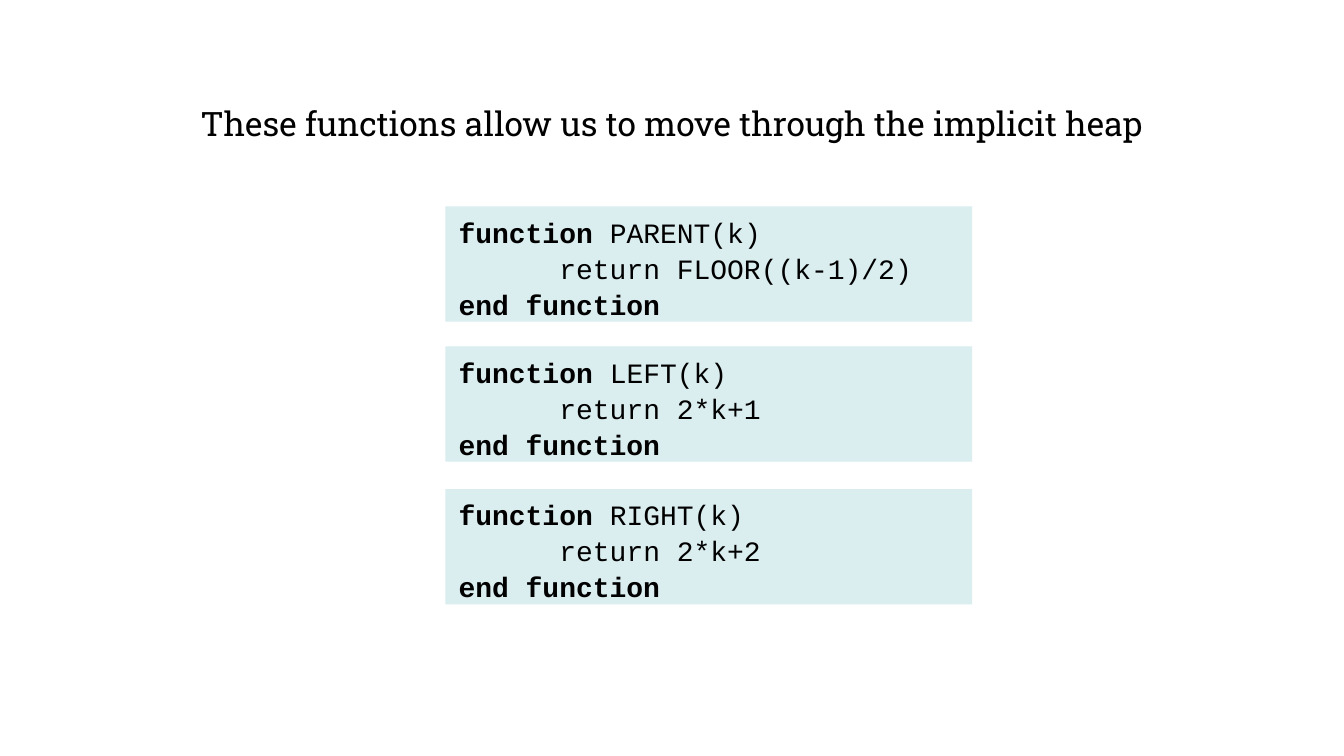
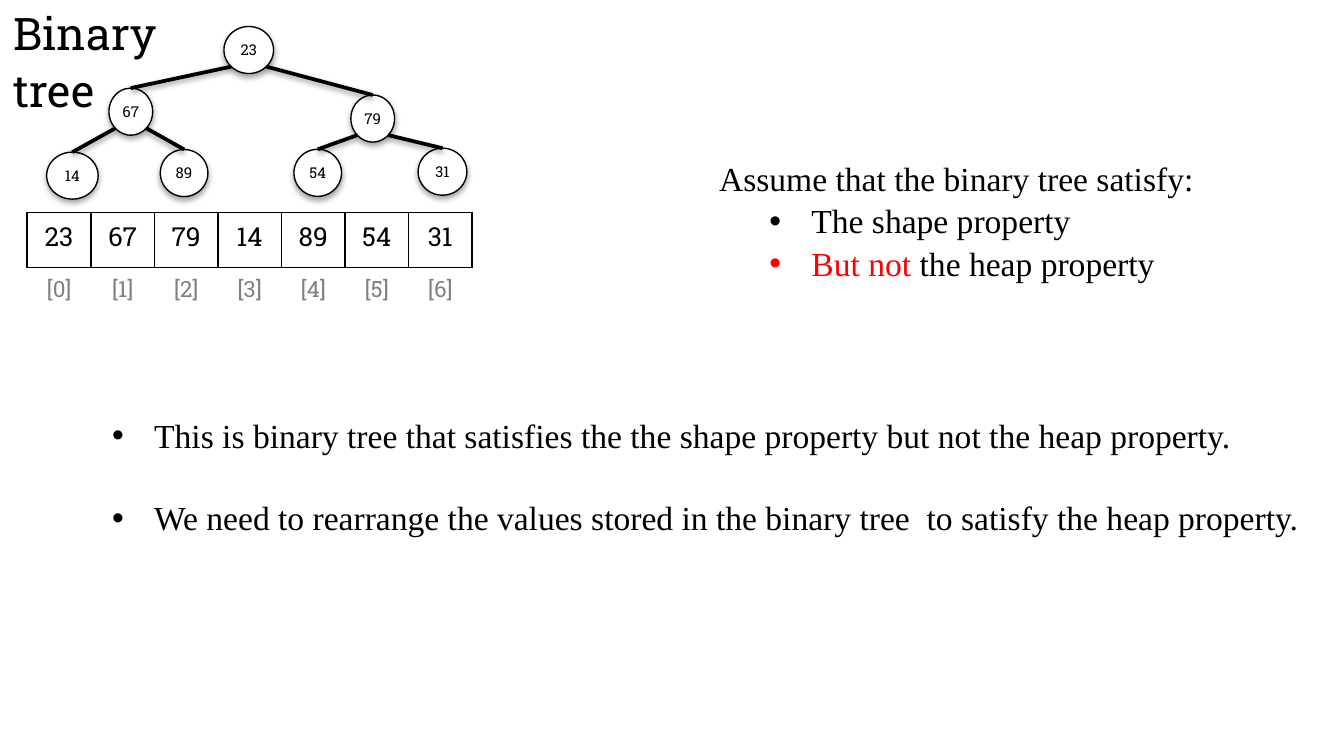
from dataclasses import dataclass

from lxml.etree import SubElement
from pptx import Presentation
from pptx.dml.color import RGBColor as RGB
from pptx.enum.shapes import MSO_CONNECTOR as CONN, MSO_SHAPE as SHAPE
from pptx.enum.text import MSO_ANCHOR as ANCHOR, MSO_AUTO_SIZE as AUTO, PP_ALIGN as ALIGN
from pptx.oxml.ns import qn
from pptx.util import Pt


@dataclass(frozen=True)
class Theme:
    """Colours, fonts and type sizes shared by the slides."""
    ink: str = "000000"
    paper: str = "FFFFFF"
    panel: str = "DAEDEF"
    muted: str = "808080"
    accent: str = "FF0000"
    slab: str = "Roboto Slab"
    serif: str = "Times New Roman"
    mono: str = "Courier New"
    heading: float = 24
    text: float = 18
    code: float = 15
    cell: float = 14
    index: float = 12
    node: float = 8
    code_spacing: float = 1.07
    text_spacing: float = 1.05


T = Theme()
SLIDE_W, SLIDE_H = 720, 405

# Content, with boxes as left, top, width, height in points
HEADING = ["These functions allow us to move through the implicit heap"]
FUNCTIONS = [  # top, name, returned expression
    (110.6, "PARENT", "FLOOR((k-1)/2)"),
    (185.6, "LEFT", "2*k+1"),
    (262, "RIGHT", "2*k+2"),
]
TREE_TITLE = ["Binary ", "tree"]
VALUES = [23, 67, 79, 14, 89, 54, 31]
NODES = [  # left, top, width in level order
    (120, 14.2, 26.6), (58.4, 47.2, 23.4), (188, 50.9, 23.4),
    (25, 81.5, 27.6), (85.9, 80.1, 25.5), (157.5, 80, 25.5), (224, 79.4, 26.1),
]
NODE_H = 25.2
ASSUMPTIONS = [  # bulleted, space before, runs of text and colour
    (False, 0, [("Assume that the binary tree satisfy:", T.ink)]),
    (True, 0, [("The shape property ", T.ink)]),
    (True, 0, [("But not ", T.accent), ("the heap property", T.ink)]),
]
REMARKS = [
    (True, 0, [("This is binary tree that satisfies the the shape property "
                "but not the heap property.", T.ink)]),
    (True, 21.7, [("We need to rearrange the values stored in the binary tree  "
                   "to satisfy the heap property.", T.ink)]),
]


def place(sp, box):
    """Move a shape to a box given in points."""
    sp.left, sp.top, sp.width, sp.height = map(Pt, box)


def add_run(p, text, font, size, color=T.ink, bold=False):
    """Add one formatted run to a paragraph."""
    r = p.add_run()
    r.text = text
    r.font.name, r.font.size, r.font.bold = font, Pt(size), bold
    r.font.color.rgb = RGB.from_string(color)


def paragraphs(tf, items):
    """Yield a paragraph of the frame with each item."""
    for i, item in enumerate(items):
        yield (tf.add_paragraph() if i else tf.paragraphs[0]), item


def set_indent(p, left, first=0):
    """Set the left and first-line indents; return the properties."""
    pPr = p._p.get_or_add_pPr()
    pPr.set("marL", str(Pt(left)))
    pPr.set("indent", str(Pt(first)))
    return pPr


def set_shadow(sp, alpha, dist):
    """Give a shape or connector a soft shadow straight below."""
    effects = SubElement(sp._element.spPr, qn("a:effectLst"))
    shadow = SubElement(effects, qn("a:outerShdw"), blurRad=str(Pt(3.1)),
                        dist=str(Pt(dist)), dir="5400000", rotWithShape="0")
    color = SubElement(shadow, qn("a:srgbClr"), val=T.ink)
    SubElement(color, qn("a:alpha"), val=str(alpha * 1000))


def set_title(slide, lines, box, size, align, gap=0):
    """Fill and place the title placeholder."""
    sp = slide.shapes.title
    place(sp, box)
    tf = sp.text_frame
    tf.word_wrap, tf.auto_size, tf.vertical_anchor = True, AUTO.NONE, ANCHOR.TOP
    for p, line in paragraphs(tf, lines):
        p.alignment = align
        p.space_before = Pt(gap if line != lines[0] else 0)
        add_run(p, line, T.slab, size)


def fill_list(sp, items, box):
    """Fill a body placeholder with plain and bulleted lines."""
    place(sp, box)
    tf = sp.text_frame
    tf.word_wrap, tf.auto_size, tf.vertical_anchor = True, AUTO.NONE, ANCHOR.TOP
    for p, (bulleted, gap, runs) in paragraphs(tf, items):
        p.level = int(bulleted)
        p.space_before, p.line_spacing = Pt(gap), T.text_spacing
        if bulleted:
            pPr = set_indent(p, 49.5, -22.5)
            SubElement(pPr, qn("a:buFont"), typeface="Arial")
            SubElement(pPr, qn("a:buChar"), char="•")
        else:
            SubElement(set_indent(p, 0), qn("a:buNone"))
        for text, color in runs:
            add_run(p, text, T.serif, T.text, color)


def add_code(slide, top, name, result):
    """Draw a panel with one pseudocode function."""
    sp = slide.shapes.add_shape(SHAPE.RECTANGLE, Pt(238.6), Pt(top), Pt(282.2), Pt(61.8))
    sp.shadow.inherit = False
    sp.fill.solid()
    sp.fill.fore_color.rgb = RGB.from_string(T.panel)
    sp.line.fill.background()
    tf = sp.text_frame
    tf.word_wrap, tf.vertical_anchor = True, ANCHOR.TOP
    lines = [
        (0, [("function", True), (f" {name}(k)", False)]),
        (54, [(f"return {result}", False)]),
        (0, [("end function", True)]),
    ]
    for p, (indent, runs) in paragraphs(tf, lines):
        p.alignment, p.line_spacing = ALIGN.LEFT, T.code_spacing
        set_indent(p, indent)
        for text, bold in runs:
            add_run(p, text, T.mono, T.code, bold=bold)


def add_node(slide, box, value):
    """Draw one tree node."""
    sp = slide.shapes.add_shape(SHAPE.OVAL, *map(Pt, box))
    sp.fill.solid()
    sp.fill.fore_color.rgb = RGB.from_string(T.paper)
    sp.line.color.rgb, sp.line.width = RGB.from_string(T.ink), Pt(0.75)
    set_shadow(sp, 35, 1.8)
    tf = sp.text_frame
    tf.margin_left = tf.margin_right = Pt(2.9)
    tf.word_wrap, tf.vertical_anchor = True, ANCHOR.MIDDLE
    p = tf.paragraphs[0]
    p.alignment = ALIGN.CENTER
    add_run(p, str(value), T.slab, T.node)


def add_edge(slide, parent, child, side):
    """Join the parent's lower left (-1) or right (1) rim to the child's top."""
    x, y, w, h = parent
    reach = 0.5 ** 0.5 / 2
    start = x + w * (0.5 + side * reach), y + h * (0.5 + reach)
    end = child[0] + child[2] / 2, child[1]
    line = slide.shapes.add_connector(CONN.STRAIGHT, *map(Pt, start + end))
    line.line.color.rgb, line.line.width = RGB.from_string(T.ink), Pt(2)
    set_shadow(line, 38, 1.6)


def add_tree(slide):
    """Draw the tree; the children of node i are 2i+1 and 2i+2."""
    boxes = [(*node, NODE_H) for node in NODES]
    for i, box in enumerate(boxes):
        add_node(slide, box, VALUES[i])
        if i:
            add_edge(slide, boxes[(i - 1) // 2], box, -1 if i % 2 else 1)


def set_borders(cell, visible):
    """Draw the named cell sides and hide the others."""
    tcPr = cell._tc.get_or_add_tcPr()
    for i, side in enumerate("LRTB"):
        ln = tcPr.makeelement(qn(f"a:ln{side}"), {"w": str(Pt(1))})
        if side in visible:
            SubElement(SubElement(ln, qn("a:solidFill")), qn("a:srgbClr"), val=T.ink)
        else:
            SubElement(ln, qn("a:noFill"))
        tcPr.insert(i, ln)


def add_array(slide):
    """Add the array table with its index row."""
    n = len(VALUES)
    col_w, row_h = 34.05, 29.5
    table = slide.shapes.add_table(2, n, Pt(14.6), Pt(113.9),
                                   Pt(col_w * n), Pt(row_h * 2)).table
    table.first_row = table.horz_banding = False
    rows = [
        (VALUES, T.cell, T.ink, "LRTB"),
        ([f"[{i}]" for i in range(n)], T.index, T.muted, "T"),
    ]
    for r, (texts, size, color, sides) in enumerate(rows):
        table.rows[r].height = Pt(row_h)
        for c, text in enumerate(texts):
            table.columns[c].width = Pt(col_w)
            cell = table.cell(r, c)
            cell.fill.background()
            set_borders(cell, sides)
            p = cell.text_frame.paragraphs[0]
            p.alignment = ALIGN.CENTER
            add_run(p, str(text), T.slab, size, color)


def build_functions(prs):
    """Build the slide with the heap functions."""
    slide = prs.slides.add_slide(prs.slide_layouts.get_by_name("Title Only"))
    set_title(slide, HEADING, (90, 51.8, 540, 29), T.text, ALIGN.CENTER)
    for function in FUNCTIONS:
        add_code(slide, *function)


def build_tree(prs):
    """Build the slide with the tree, its array and the remarks."""
    slide = prs.slides.add_slide(prs.slide_layouts.get_by_name("Two Content"))
    set_title(slide, TREE_TITLE, (0, -0.7, 168.5, 37.4), T.heading, ALIGN.LEFT, gap=2)
    first, second = [sp for sp in slide.placeholders if sp.placeholder_format.idx in (1, 2)]
    fill_list(first, ASSUMPTIONS, (378, 79.9, 271.4, 72.7))
    fill_list(second, REMARKS, (25.9, 217.4, 684.7, 72.7))
    add_array(slide)
    add_tree(slide)


def main():
    """Build and save the presentation."""
    prs = Presentation()
    prs.slide_width, prs.slide_height = Pt(SLIDE_W), Pt(SLIDE_H)
    build_functions(prs)
    build_tree(prs)
    prs.save("out.pptx")


main()
